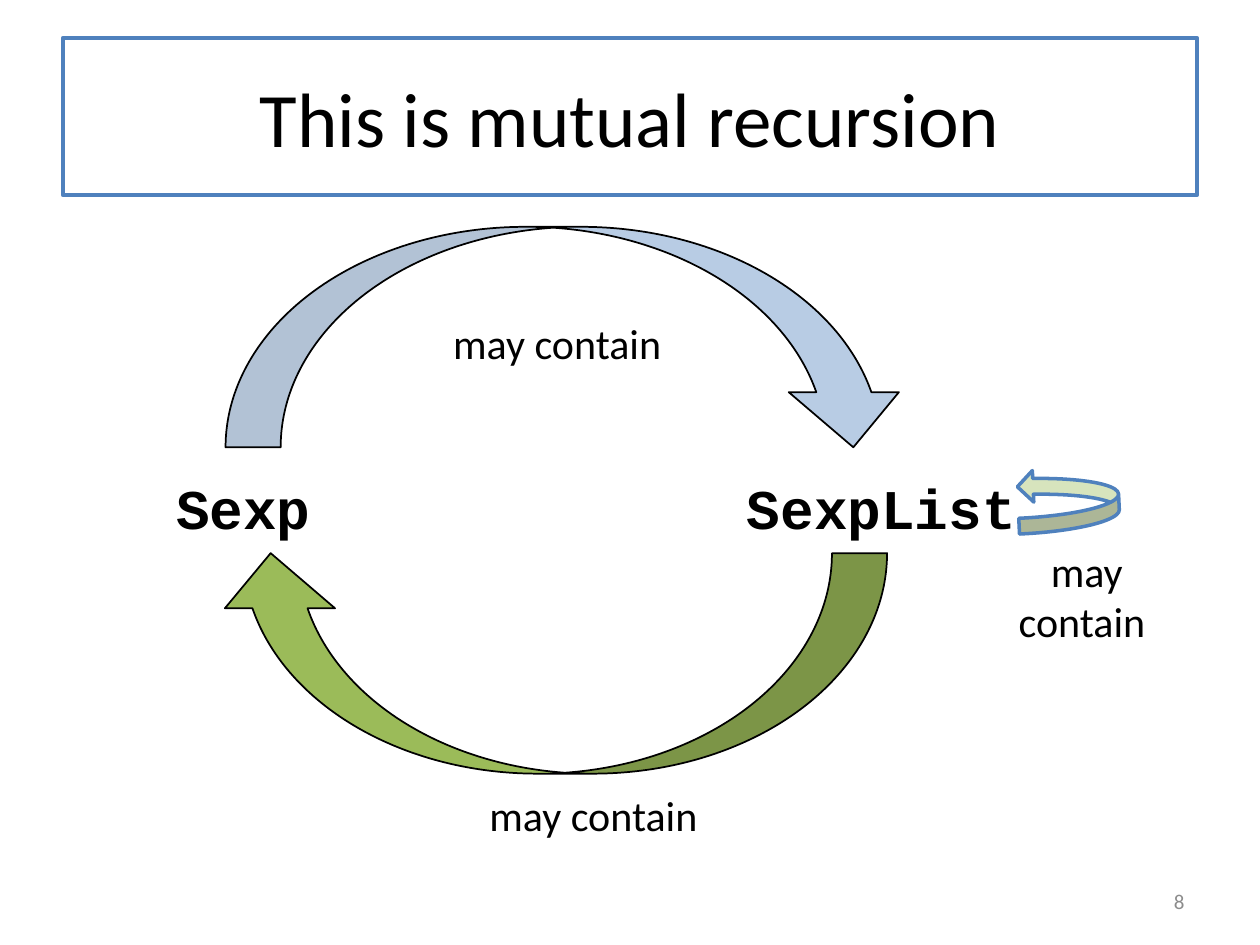
from dataclasses import dataclass

from lxml import etree
from pptx import Presentation
from pptx.dml.color import RGBColor
from pptx.enum import shapes, text
from pptx.oxml.ns import qn
from pptx.util import Inches, Pt

SHAPE = shapes.MSO_SHAPE
ALIGN = text.PP_ALIGN
ANCHOR = text.MSO_ANCHOR


@dataclass(frozen=True)
class Theme:
    body_font: str = "Calibri"
    code_font: str = "Courier New"
    title_size: int = 44
    code_size: int = 32
    label_size: int = 24
    number_size: int = 12
    ink: str = "000000"
    muted: str = "8C8C8C"
    paper: str = "FFFFFF"
    blue: str = "4F81BD"
    green: str = "9BBB59"
    pale_green: str = "D7E4BD"


THEME = Theme()


@dataclass(frozen=True)
class Box:
    left: float
    top: float
    width: float
    height: float

    def lengths(self) -> tuple:
        return tuple(Inches(v) for v in (self.left, self.top, self.width, self.height))


@dataclass(frozen=True)
class Outlined:
    preset: int
    box: Box
    fill: str
    line: str
    line_width: float
    rotation: float = 0
    opacity: int = 100


@dataclass(frozen=True)
class Label:
    wording: str
    box: Box
    size: int = THEME.label_size
    font: str = THEME.body_font
    color: str = THEME.ink
    bold: bool = False
    align: int = ALIGN.CENTER
    anchor: int = ANCHOR.TOP


TITLE_BOX = Box(0.5, 0.3, 9, 1.25)

OUTLINED = [
    Outlined(SHAPE.RECTANGLE, TITLE_BOX, THEME.paper, THEME.blue, 2.25),
    Outlined(SHAPE.CURVED_DOWN_ARROW, Box(1.79, 1.8, 5.42, 1.75),
             THEME.blue, THEME.ink, 1, opacity=40),
    Outlined(SHAPE.CURVED_DOWN_ARROW, Box(1.71, 4.39, 5.33, 1.75),
             THEME.green, THEME.ink, 1, rotation=180),
    Outlined(SHAPE.CURVED_UP_ARROW, Box(8.23, 3.57, 0.5, 0.8),
             THEME.pale_green, THEME.blue, 2, rotation=267.4),
]


def type_name(wording: str, left: float, width: float) -> Label:
    return Label(wording, Box(left, 3.71, width, 0.6), THEME.code_size,
                 THEME.code_font, bold=True, align=ALIGN.LEFT)


LABELS = [
    Label("This is mutual recursion", TITLE_BOX, THEME.title_size, anchor=ANCHOR.MIDDLE),
    type_name("Sexp", 1.3, 1.4),
    type_name("SexpList", 5.83, 2.4),
    Label("may contain ", Box(2.96, 2.47, 3, 0.5)),
    Label("may contain", Box(3.21, 6.22, 3, 0.5)),
    Label("may contain ", Box(7.75, 4.28, 1.75, 0.91)),
    Label("8", Box(7.17, 6.95, 2.33, 0.4), THEME.number_size, color=THEME.muted,
          align=ALIGN.RIGHT, anchor=ANCHOR.MIDDLE),
]


def draw_outlined(slide, item: Outlined) -> None:
    shape = slide.shapes.add_shape(item.preset, *item.box.lengths())
    shape.shadow.inherit = False
    shape.rotation = item.rotation
    shape.fill.solid()
    shape.fill.fore_color.rgb = RGBColor.from_string(item.fill)
    shape.line.color.rgb = RGBColor.from_string(item.line)
    shape.line.width = Pt(item.line_width)
    if item.opacity < 100:
        color = shape._element.spPr.find(qn("a:solidFill")).find(qn("a:srgbClr"))
        etree.SubElement(color, qn("a:alpha"), val=str(item.opacity * 1000))


def draw_label(slide, label: Label) -> None:
    frame = slide.shapes.add_textbox(*label.box.lengths()).text_frame
    frame.word_wrap = True
    frame.vertical_anchor = label.anchor
    frame.text = label.wording
    paragraph = frame.paragraphs[0]
    paragraph.alignment = label.align
    font = paragraph.runs[0].font
    font.name = label.font
    font.size = Pt(label.size)
    font.bold = label.bold
    font.color.rgb = RGBColor.from_string(label.color)


def main() -> None:
    deck = Presentation()
    deck.slide_width, deck.slide_height = Inches(10), Inches(7.5)
    slide = deck.slides.add_slide(deck.slide_layouts[6])
    for item in OUTLINED:
        draw_outlined(slide, item)
    for label in LABELS:
        draw_label(slide, label)
    deck.save("out.pptx")


if __name__ == "__main__":
    main()
